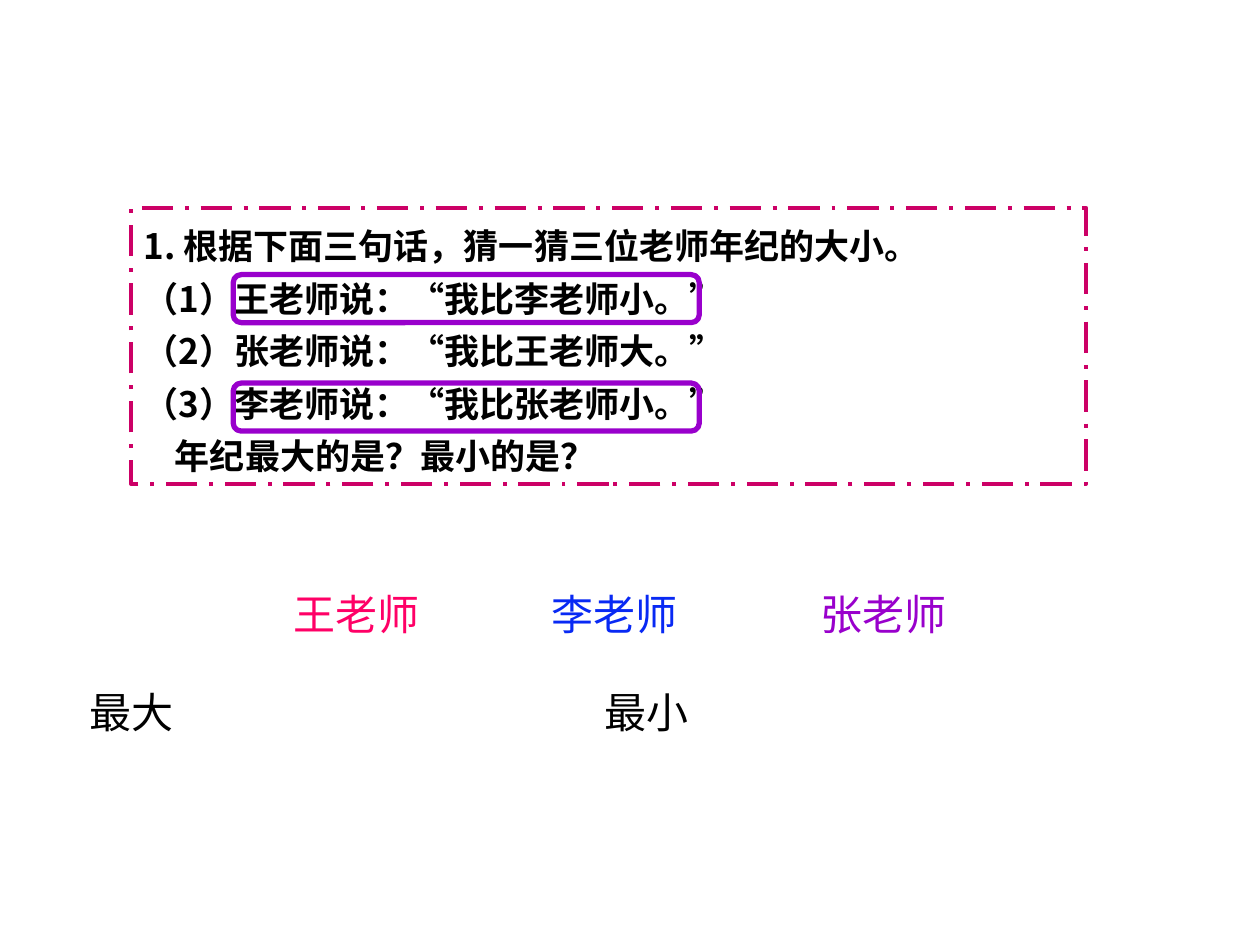
import pptx
import pptx.util
import pptx.dml.color
import pptx.enum.dml
import pptx.enum.shapes
import pptx.enum.text
import pptx.oxml.ns
import lxml.etree

WIDE, HIGH = 10, 7.5
FONT = "Noto Sans CJK SC"
HUES = {"ink": "000000", "frame": "CC0066", "pink": "FF0066",
        "blue": "0829F4", "plum": "9900CC"}
LINES = ["1. 根据下面三句话，猜一猜三位老师年纪的大小。",
         "（1）王老师说：“我比李老师小。”",
         "（2）张老师说：“我比王老师大。”",
         "（3）李老师说：“我比张老师小。”",
         "年纪最大的是？最小的是？"]
NAMES = [("王老师", "pink", 0.208), ("李老师", "blue", 0.413),
         ("张老师", "plum", 0.626)]
ENDS = [("最大", "ink", 0.054), ("最小", "ink", 0.463)]


def tint(hue):
    """Return the named colour."""
    return pptx.dml.color.RGBColor.from_string(HUES[hue])


def place(box):
    """Turn shares of the slide into lengths."""
    return [pptx.util.Inches(part * side)
            for part, side in zip(box, (WIDE, HIGH, WIDE, HIGH))]


def style(para, size, hue, bold=False):
    """Set the font of a paragraph for Latin and Chinese text."""
    font = para.font
    font.size, font.bold, font.name = pptx.util.Pt(size), bold, FONT
    font.color.rgb = tint(hue)
    props = para._p.get_or_add_pPr().find(pptx.oxml.ns.qn("a:defRPr"))
    face = lxml.etree.SubElement(props, pptx.oxml.ns.qn("a:ea"))
    face.set("typeface", FONT)


def outline(slide, kind, box, hue, width):
    """Draw an unfilled shape with a coloured line."""
    shape = slide.shapes.add_shape(kind, *place(box))
    shape.shadow.inherit = False
    shape.fill.background()
    shape.line.color.rgb = tint(hue)
    shape.line.width = pptx.util.Pt(width)
    return shape


def puzzle(slide, box):
    """Draw the framed puzzle text."""
    kinds = pptx.enum.shapes.MSO_SHAPE
    shape = outline(slide, kinds.RECTANGLE, box, "frame", 2.25)
    shape.line.dash_style = pptx.enum.dml.MSO_LINE.LONG_DASH_DOT
    frame = shape.text_frame
    frame.word_wrap = True
    frame.vertical_anchor = pptx.enum.text.MSO_ANCHOR.TOP
    frame.text = "\n".join(LINES)
    for para in frame.paragraphs:
        para.alignment = pptx.enum.text.PP_ALIGN.LEFT
        para.line_spacing = 1.25
        style(para, 20, "ink", True)
    last = frame.paragraphs[-1]._p.get_or_add_pPr()
    last.set("marL", str(pptx.util.Inches(0.25)))
    last.set("indent", "0")


def marks(slide, box):
    """Ring the first and third statements inside the puzzle box."""
    left, top, wide, high = box
    kind = pptx.enum.shapes.MSO_SHAPE.ROUNDED_RECTANGLE
    for share in (0.242, 0.635):
        ring = (left + 0.107 * wide, top + share * high,
                0.488 * wide, 0.174 * high)
        outline(slide, kind, ring, "plum", 3)


def labels(slide, items, top, wide):
    """Set a row of centred labels."""
    for text, hue, left in items:
        label = slide.shapes.add_textbox(*place((left, top, wide, 0.076)))
        frame = label.text_frame
        frame.word_wrap = False
        frame.text = text
        para = frame.paragraphs[0]
        para.alignment = pptx.enum.text.PP_ALIGN.CENTER
        style(para, 24, hue)


def main():
    """Build and save the slide."""
    deck = pptx.Presentation()
    deck.slide_width = pptx.util.Inches(WIDE)
    deck.slide_height = pptx.util.Inches(HIGH)
    slide = deck.slides.add_slide(deck.slide_layouts[6])
    box = (0.104, 0.22, 0.758, 0.292)
    puzzle(slide, box)
    labels(slide, NAMES, 0.616, 0.15)
    marks(slide, box)
    labels(slide, ENDS, 0.72, 0.1)
    deck.save("out.pptx")


if __name__ == "__main__":
    main()
